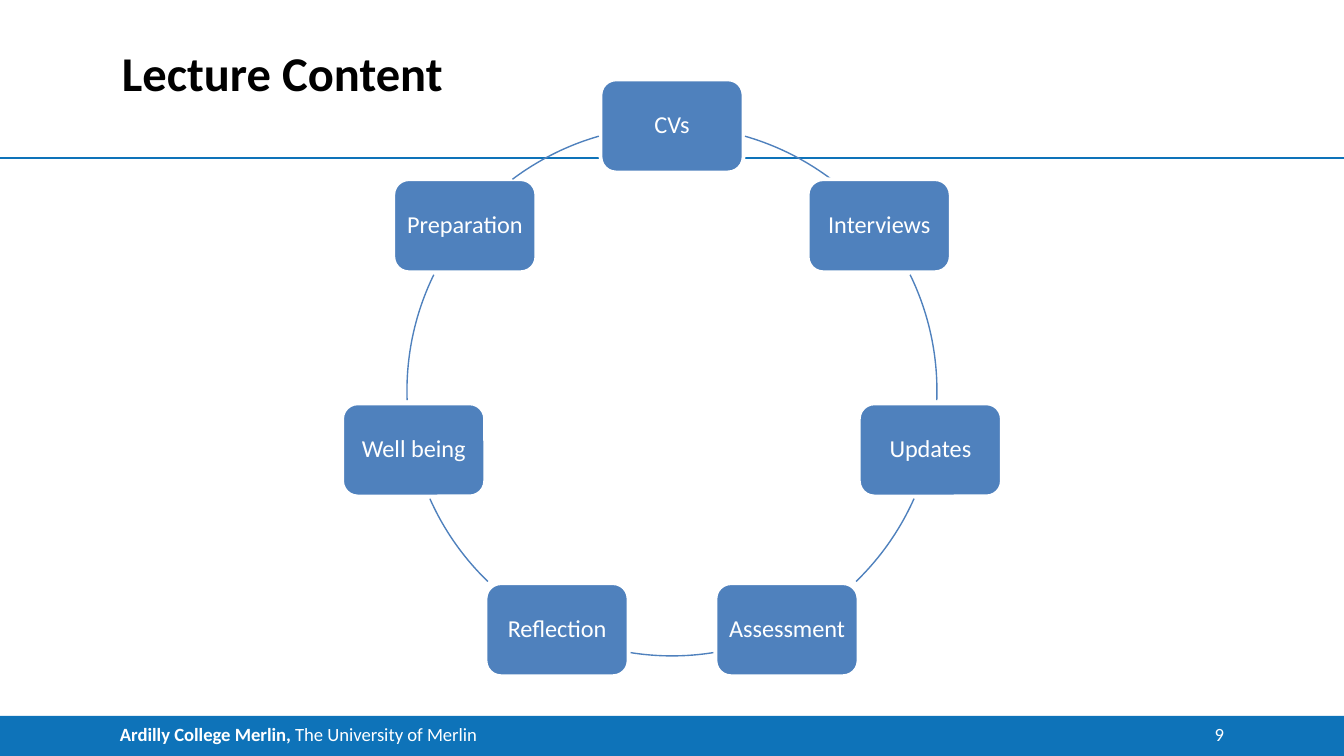
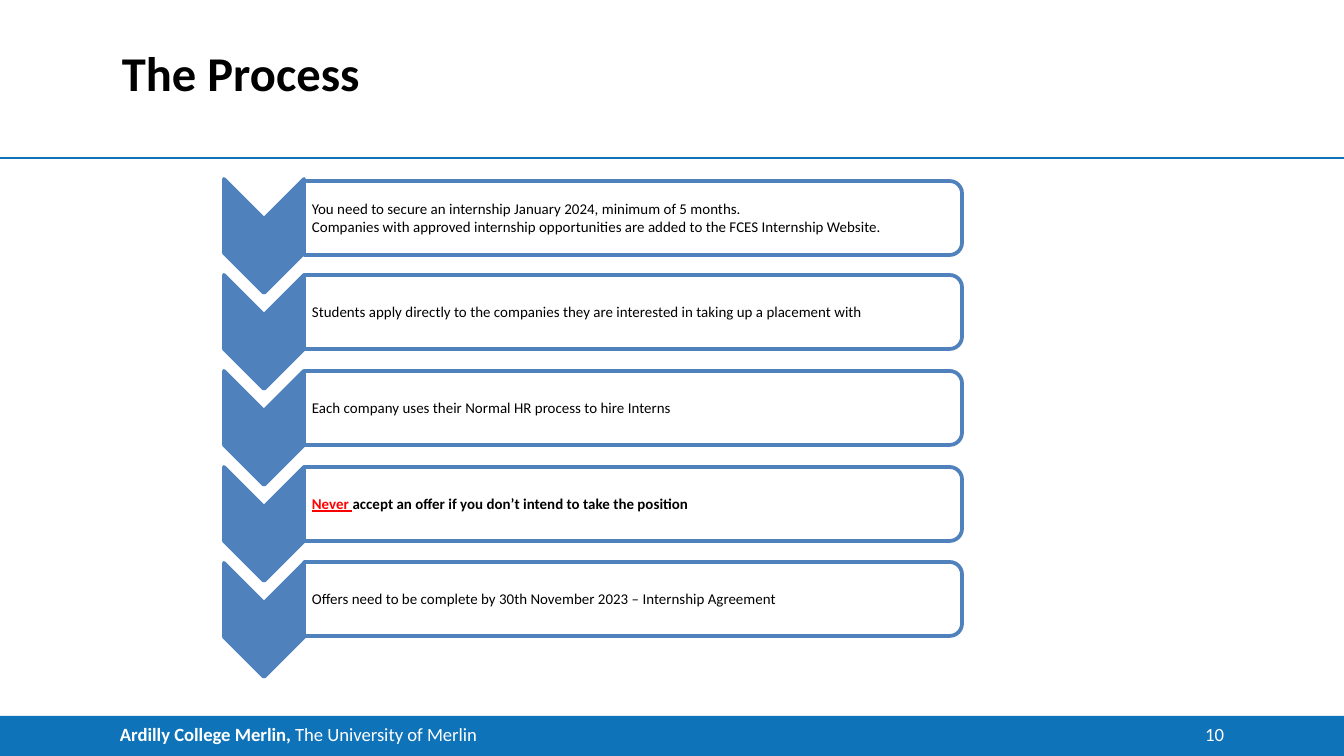
from math import cos, radians, sin

from lxml import etree
from pptx import Presentation
from pptx.dml.color import RGBColor
from pptx.enum.shapes import MSO_CONNECTOR, MSO_SHAPE
from pptx.enum.text import MSO_ANCHOR, PP_ALIGN
from pptx.oxml.ns import qn
from pptx.util import Emu, Pt

EMU_PER_PX = 914400 / 134.4
SLIDE_W, SLIDE_H = 1344, 756
FONT = "Calibri"
COLORS = {
    "brand": "0E73B9",
    "accent": "4F81BD",
    "white": "FFFFFF",
    "black": "000000",
    "warning": "FF0000",
}

TOPICS = ["CVs", "Interviews", "Updates", "Assessment", "Reflection", "Well being", "Preparation"]
RING_X, RING_Y, RING_RADIUS = 672, 391, 265
TOPIC_W, TOPIC_H = 143, 93
RIGHT_ARCS = [(16, 37), (64, 92), (114, 136)]
BOTTOM_ARC = (171, 189)

STEPS = [
    [
        "You need to secure an internship January 2024, minimum of 5 months.",
        "Companies with approved internship opportunities are added to the FCES Internship Website.",
    ],
    ["Students apply directly to the companies they are interested in taking up a placement with"],
    ["Each company uses their Normal HR process to hire Interns"],
    ["Never accept an offer if you don’t intend to take the position"],
    ["Offers need to be complete by 30th November 2023 – Internship Agreement"],
]
WARNING_WORD = "Never "
CHEVRON_TOP, CHEVRON_PITCH = 236, 96
PANEL_CENTRES = [218, 312, 408, 504, 599]


def px(length):
    return Emu(round(length * EMU_PER_PX))


def rgb(name):
    return RGBColor.from_string(COLORS[name])


def format_run(run, size, color, bold=False, underline=False):
    run.font.name = FONT
    run.font.size = Pt(size)
    run.font.color.rgb = rgb(color)
    run.font.bold = bold
    run.font.underline = underline


def format_paragraph(paragraph, size, color, bold=False, align=PP_ALIGN.LEFT):
    paragraph.alignment = align
    for run in paragraph.runs:
        format_run(run, size, color, bold)


def set_frame(frame, anchor, left=0, top=0, right=0, bottom=0):
    frame.word_wrap = True
    frame.vertical_anchor = anchor
    frame.margin_left, frame.margin_top = px(left), px(top)
    frame.margin_right, frame.margin_bottom = px(right), px(bottom)


def add_block(slide, preset, x, y, w, h, fill=None, line=None, weight=2):
    block = slide.shapes.add_shape(preset, px(x), px(y), px(w), px(h))
    block.shadow.inherit = False
    if fill:
        block.fill.solid()
        block.fill.fore_color.rgb = rgb(fill)
    else:
        block.fill.background()
    if line:
        block.line.color.rgb = rgb(line)
        block.line.width = Pt(weight)
    else:
        block.line.fill.background()
    return block


def add_centred_block(slide, preset, cx, cy, w, h, **style):
    return add_block(slide, preset, cx - w / 2, cy - h / 2, w, h, **style)


def add_label(slide, text, x, y, w, h, size, color, **style):
    label = slide.shapes.add_textbox(px(x), px(y), px(w), px(h))
    set_frame(label.text_frame, MSO_ANCHOR.BOTTOM)
    label.text_frame.text = text
    format_paragraph(label.text_frame.paragraphs[0], size, color, **style)


def add_footer(slide, number):
    footer = add_block(slide, MSO_SHAPE.RECTANGLE, 0, 716, SLIDE_W, 40, fill="brand")
    set_frame(footer.text_frame, MSO_ANCHOR.MIDDLE, left=120, bottom=4)
    paragraph = footer.text_frame.paragraphs[0]
    paragraph.text = "Ardilly College Merlin, "
    paragraph.add_run().text = "The University of Merlin"
    format_paragraph(paragraph, 10, "white")
    paragraph.runs[0].font.bold = True
    add_label(slide, str(number), 1181, 717, 43, 28, 10, "white", align=PP_ALIGN.RIGHT)


def add_rule(slide):
    rule = slide.shapes.add_connector(MSO_CONNECTOR.STRAIGHT, 0, px(158), px(SLIDE_W), px(158))
    rule.line.color.rgb = rgb("brand")
    rule.line.width = Pt(0.75)
    etree.SubElement(rule._element.spPr, qn("a:effectLst"))


def add_content_slide(deck, title, number):
    slide = deck.slides.add_slide(deck.slide_layouts[6])
    add_footer(slide, number)
    add_rule(slide)
    add_label(slide, title, 122, 39, 1102, 62, 26, "black", bold=True)
    return slide


def add_topic(slide, topic, angle):
    cx = RING_X + RING_RADIUS * sin(radians(angle))
    cy = RING_Y - RING_RADIUS * cos(radians(angle))
    box = add_centred_block(slide, MSO_SHAPE.ROUNDED_RECTANGLE, cx, cy, TOPIC_W, TOPIC_H,
                            fill="accent", line="white")
    set_frame(box.text_frame, MSO_ANCHOR.MIDDLE, 6, 6, 6, 6)
    box.text_frame.text = topic
    paragraph = box.text_frame.paragraphs[0]
    paragraph.line_spacing = 0.9
    format_paragraph(paragraph, 13, "white", align=PP_ALIGN.CENTER)


def add_ring_arc(slide, start, end):
    diameter = 2 * RING_RADIUS
    arc = add_centred_block(slide, MSO_SHAPE.ARC, RING_X, RING_Y, diameter, diameter,
                            line="accent", weight=0.75)
    for index, angle in enumerate((start, end)):
        arc.adjustments[index] = (angle - 90) % 360 * 0.6


def add_topic_ring(slide):
    left_arcs = [(360 - end, 360 - start) for start, end in reversed(RIGHT_ARCS)]
    arcs = RIGHT_ARCS + [BOTTOM_ARC] + left_arcs
    for index, (topic, arc) in enumerate(zip(TOPICS, arcs)):
        add_topic(slide, topic, index * 360 / len(TOPICS))
        add_ring_arc(slide, *arc)


def write_step(paragraph, sentence):
    paragraph.line_spacing = 0.9
    paragraph.space_after = Pt(1)
    if sentence.startswith(WARNING_WORD):
        paragraph.text = WARNING_WORD
        paragraph.add_run().text = sentence[len(WARNING_WORD):]
        format_paragraph(paragraph, 8, "black", bold=True)
        format_run(paragraph.runs[0], 8, "warning", bold=True, underline=True)
    else:
        paragraph.text = sentence
        format_paragraph(paragraph, 8, "black")


def add_step(slide, sentences, chevron_y, panel_y):
    chevron = add_centred_block(slide, MSO_SHAPE.CHEVRON, 264, chevron_y, 114, 80,
                                fill="accent", line="accent")
    panel = add_centred_block(slide, MSO_SHAPE.ROUND_2_SAME_RECTANGLE, 633, panel_y, 74, 658,
                              fill="white", line="accent")
    chevron.rotation = panel.rotation = 90
    panel_color = panel._element.spPr.find(qn("a:solidFill"))[0]
    etree.SubElement(panel_color, qn("a:alpha"), val="90000")

    body = slide.shapes.add_textbox(px(304), px(panel_y - 33), px(654), px(67)).text_frame
    set_frame(body, MSO_ANCHOR.MIDDLE, 8, 1, 1, 1)
    for index, sentence in enumerate(sentences):
        paragraph = body.add_paragraph() if index else body.paragraphs[0]
        write_step(paragraph, sentence)


def main():
    deck = Presentation()
    deck.slide_width, deck.slide_height = px(SLIDE_W), px(SLIDE_H)

    add_topic_ring(add_content_slide(deck, "Lecture Content", 9))

    process = add_content_slide(deck, "The Process", 10)
    for index, (sentences, panel_y) in enumerate(zip(STEPS, PANEL_CENTRES)):
        add_step(process, sentences, CHEVRON_TOP + index * CHEVRON_PITCH, panel_y)

    deck.save("out.pptx")


if __name__ == "__main__":
    main()
